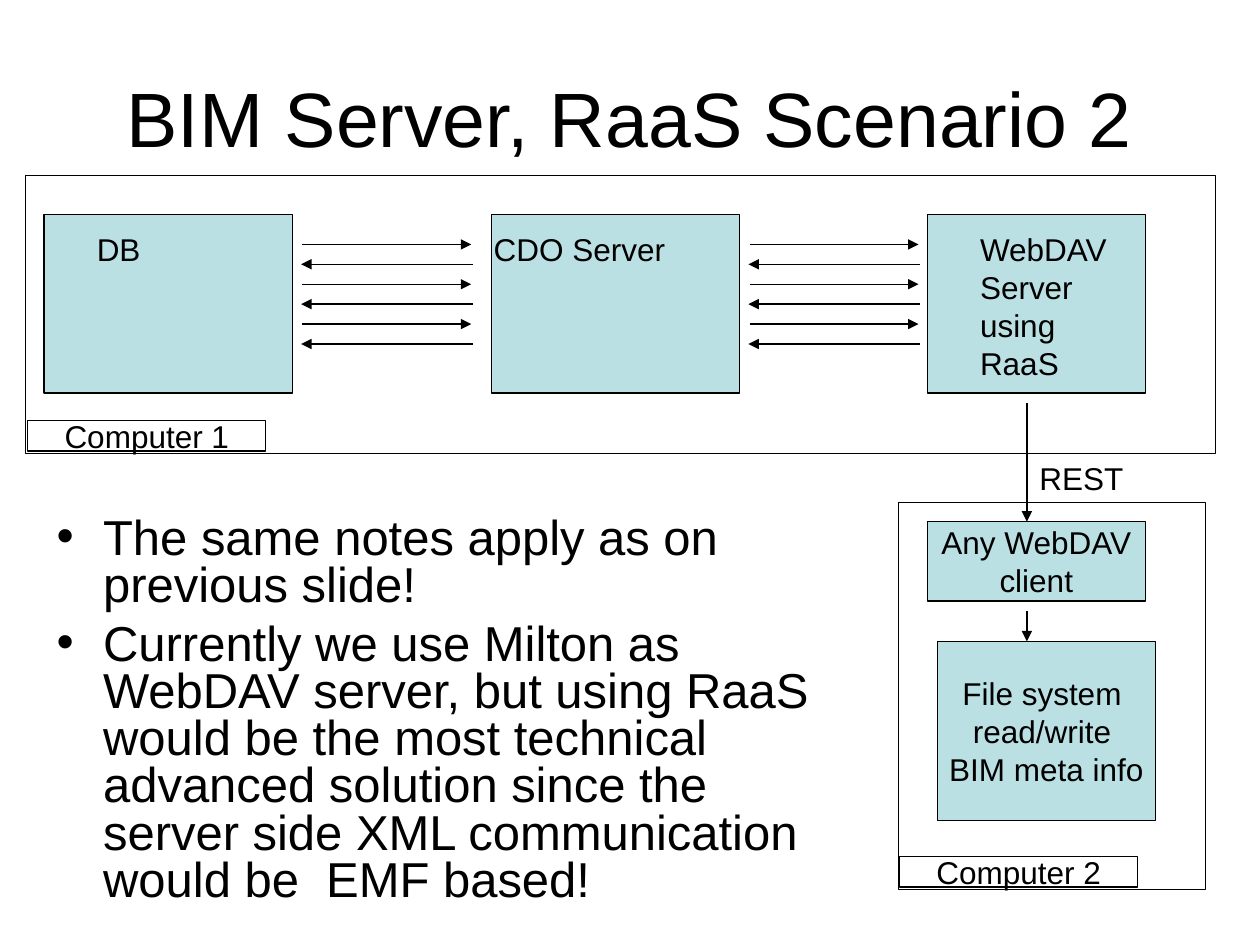
from lxml import etree
from pptx import Presentation
from pptx.dml.color import RGBColor
from pptx.enum.shapes import MSO_CONNECTOR, MSO_SHAPE
from pptx.enum.text import MSO_ANCHOR, MSO_AUTO_SIZE, PP_ALIGN
from pptx.oxml.ns import qn
from pptx.util import Inches, Pt

RECT = MSO_SHAPE.RECTANGLE
STRAIGHT = MSO_CONNECTOR.STRAIGHT
LEFT, CENTER = PP_ALIGN.LEFT, PP_ALIGN.CENTER
TOP, MIDDLE = MSO_ANCHOR.TOP, MSO_ANCHOR.MIDDLE
GROW = MSO_AUTO_SIZE.SHAPE_TO_FIT_TEXT

BLACK = RGBColor(0x00, 0x00, 0x00)
TEAL = RGBColor(0xBB, 0xE0, 0xE3)
FONT = "Arial"

# Server row: columns as (left, width), all on one top and height
ROW_TOP, ROW_H = 1.7, 1.42
LABEL_TOP, LABEL_H = 1.78, 0.4
DB_COL, CDO_COL, DAV_COL = (0.35, 1.97), (3.9, 1.97), (7.36, 1.73)
# Arrow bundles between the columns
ARROWS, FIRST_ARROW, LAST_ARROW = 6, 1.94, 2.73
ARROW_LEN = 1.34
CLIENT_X = 8.15


def write(tf, lines, size=18, align=LEFT, anchor=TOP, wrap=False):
    tf.word_wrap = wrap
    tf.vertical_anchor = anchor
    for i, line in enumerate(lines):
        p = tf.paragraphs[0] if i == 0 else tf.add_paragraph()
        p.alignment = align
        r = p.add_run()
        r.text = line
        r.font.name, r.font.size = FONT, Pt(size)
        r.font.color.rgb = BLACK


def add_text(s, box, lines, **style):
    tf = s.shapes.add_textbox(*map(Inches, box)).text_frame
    write(tf, lines, **style)
    return tf


def add_label(s, box, *lines):
    """Left-aligned label; its box is a little wider than the text."""
    add_text(s, box, lines, wrap=True).auto_size = GROW


def add_box(s, box, *lines, fill=None):
    sp = s.shapes.add_shape(RECT, *map(Inches, box))
    sp.shadow.inherit = False
    if fill is None:
        sp.fill.background()
    else:
        sp.fill.solid()
        sp.fill.fore_color.rgb = fill
    sp.line.color.rgb, sp.line.width = BLACK, Pt(0.75)
    if lines:
        write(sp.text_frame, lines, align=CENTER, anchor=MIDDLE)


def add_arrow(s, x1, y1, x2, y2):
    c = s.shapes.add_connector(STRAIGHT, *map(Inches, (x1, y1, x2, y2)))
    c.line.color.rgb, c.line.width = BLACK, Pt(0.75)
    ln = c.line._get_or_add_ln()
    etree.SubElement(ln, qn("a:tailEnd"), type="triangle")
    etree.SubElement(c._element.spPr, qn("a:effectLst"))


def add_exchange(s, left):
    """Arrows that run to the right and back in turn."""
    step = (LAST_ARROW - FIRST_ARROW) / (ARROWS - 1)
    for i in range(ARROWS):
        y = FIRST_ARROW + i * step
        if i % 2 == 0:
            add_arrow(s, left, y, left + ARROW_LEN, y)
        else:
            add_arrow(s, left + ARROW_LEN + 0.01, y, left - 0.01, y)


def add_bullets(s, box, lines):
    tf = add_text(s, box, lines, size=28, wrap=True)
    indent = Inches(0.37)
    for p in tf.paragraphs:
        p.line_spacing, p.space_before = 0.8, Pt(7)
        pPr = p._p.get_or_add_pPr()
        pPr.set("marL", str(indent))
        pPr.set("indent", str(-indent))
        etree.SubElement(pPr, qn("a:buFont"), typeface=FONT)
        etree.SubElement(pPr, qn("a:buChar"), char="•")


def main():
    prs = Presentation()
    prs.slide_width, prs.slide_height = Inches(10), Inches(7.5)
    s = prs.slides.add_slide(prs.slide_layouts[6])

    # Title
    add_text(s, (0.5, 0.3, 9, 1.25), ["BIM Server, RaaS Scenario 2"],
             size=44, align=CENTER, anchor=MIDDLE, wrap=True)

    # Computer 1: three servers and the traffic between them
    for left, width in (DB_COL, CDO_COL, DAV_COL):
        add_box(s, (left, ROW_TOP, width, ROW_H), fill=TEAL)
    add_label(s, (0.67, LABEL_TOP, 0.6, LABEL_H), "DB")
    add_label(s, (3.82, LABEL_TOP, 1.62, LABEL_H), "CDO Server")
    add_label(s, (7.68, LABEL_TOP, 1.3, 1.3),
              "WebDAV", "Server", "using", "RaaS")
    for left in (2.4, 5.95):
        add_exchange(s, left)
    add_box(s, (0.2, 1.39, 9.45, 2.21))
    add_box(s, (0.22, 3.34, 1.89, 0.24), "Computer 1")

    # Computer 2: client and file system
    add_box(s, (7.13, 3.99, 2.44, 3.07))
    add_box(s, (7.14, 6.8, 1.89, 0.24), "Computer 2")
    add_box(s, (DAV_COL[0], 4.14, DAV_COL[1], 0.63),
            "Any WebDAV", "client", fill=TEAL)
    add_box(s, (7.44, 5.09, DAV_COL[1], ROW_H),
            "File system ", "read/write ", "BIM meta info", fill=TEAL)
    add_label(s, (CLIENT_X, 3.59, 0.92, LABEL_H), "REST")
    for start, end in ((3.2, 4.14), (4.85, 5.09)):
        add_arrow(s, CLIENT_X, start, CLIENT_X, end)

    # Notes
    add_bullets(s, (0.35, 4.06, 6.38, 3.23), [
        "The same notes apply as on previous slide!",
        "Currently we use Milton as WebDAV server, but using RaaS would be "
        "the most technical advanced solution since the server side XML "
        "communication would be  EMF based!",
    ])

    prs.save("out.pptx")


if __name__ == "__main__":
    main()
